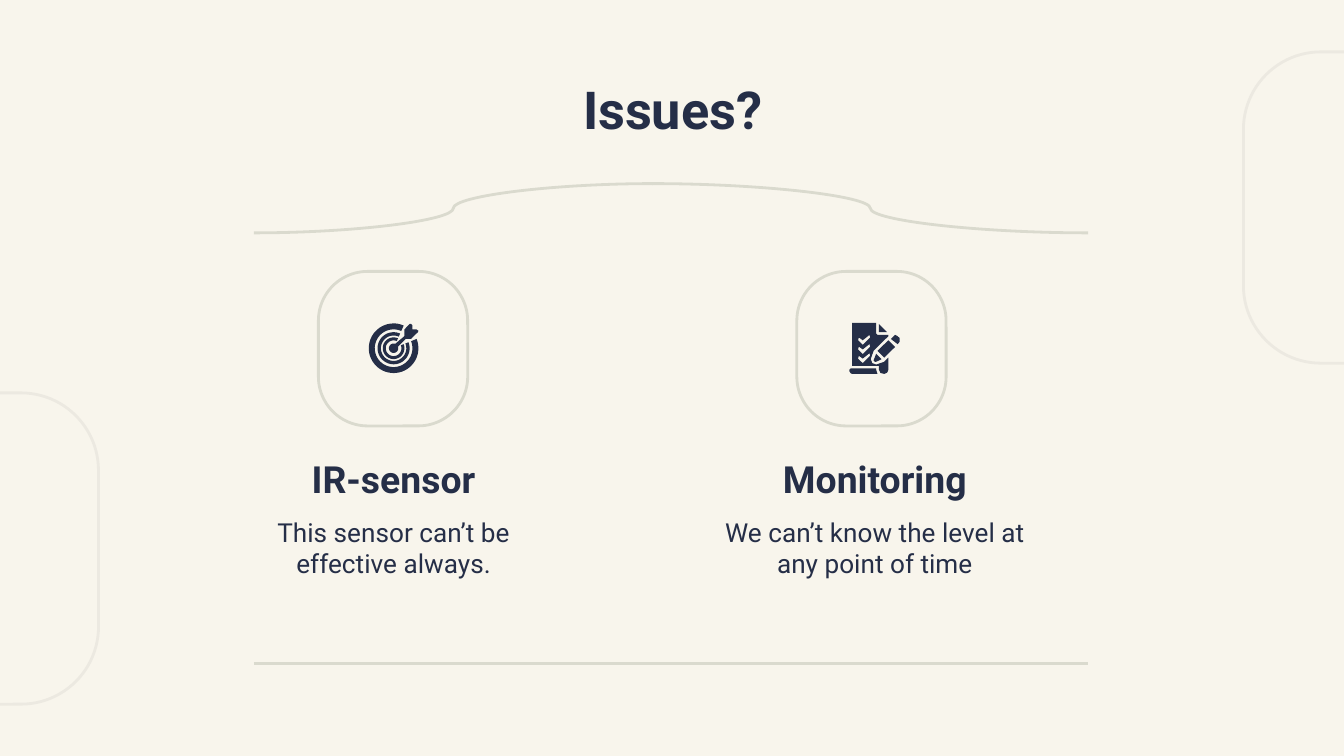
"""Build the "Issues?" slide with two illustrated columns."""
from math import cos, radians, sin

from lxml import etree
from pptx import Presentation
from pptx.dml.color import RGBColor
from pptx.enum import shapes, text
from pptx.oxml import ns
from pptx.util import Pt

INK, RULE, PALE, PAPER = "252E47", "DADACE", "ECE9E1", "F8F5EC"
FONT = "Roboto"
ICON_MIDDLE = 186.6


def arc(radius, start, end, steps=48):
    """Return points on an arc about the origin, angles counted anticlockwise."""
    angles = [radians(start + (end - start) * i / steps) for i in range(steps + 1)]
    return [(radius * cos(a), -radius * sin(a)) for a in angles]


def ring(outer, inner):
    """Return the outline of a ring that is open at the upper right."""
    return arc(outer, 66, 382) + arc(inner, 382, 66)


DART = [
    (2.2, -0.7), (6.5, -5), (9.4, -5), (10.1, -5.8), (13, -8.6), (13.3, -9.4),
    (12.2, -10.1), (10.1, -10.1), (10.1, -12.2), (9.4, -13), (8.6, -13),
    (5.8, -10.1), (5.8, -6.5), (0.7, -2.2),
] + arc(2.5, 74, 376)
TARGET = [ring(13.3, 10.1), ring(8.6, 6.8), ring(5.8, 4.2), DART]

SHEET = [
    (-12.2, -13.7), (-12.2, 9.4), (2.2, 9.4), (2.2, 11.6), (3, 13.2), (5, 13.7),
    (6.6, 13), (7.2, 11.6), (7.2, 5), (5, 7.2), (0.7, 8.7), (-1.4, 7.9),
    (-2.2, 5.8), (-0.7, 1.4), (7.2, -6.5), (7.2, -7.2), (1.4, -7.2),
    (0.7, -7.9), (0.7, -13.7),
]
TICK = [(-2.9, -7.2), (-2.5, -5.8), (-6.5, -1.8), (-9, -4.3), (-8.6, -5.8), (-6.5, -4.3)]
TICKS = [[(x, y + 4.9 * row) for x, y in TICK] for row in range(3)]
ERASER = [(8.6, -5), (10.1, -6.5), (10.8, -7.2), (12.2, -6.5), (13.3, -5.4),
          (13.3, -3.6), (12.2, -2.2)]
PENCIL = [(7.2, -4.3), (1.4, 1.4), (5, 5), (10.8, -0.7)]
TIP = [(0.7, 2.9), (-0.7, 6.5), (0, 7.2), (0.7, 7.2), (3.6, 5.8)]
FOLD = [(2.2, -13), (2.2, -8.6), (6.5, -8.6)]
FOOT = [(-13, 10.8), (-13.7, 11.5), (-13.7, 12.2), (-13, 13.3), (-12.2, 13.7),
        (1.4, 13.7), (0.7, 11.5), (0.7, 10.8)]
CHECKLIST = [SHEET, *TICKS, ERASER, PENCIL, TIP, FOLD, FOOT]

COLUMNS = [
    (210.9, 210.6, "IR-sensor", "This sensor can’t be effective always.", TARGET),
    (468.7, 466.9, "Monitoring", "We can’t know the level at any point of time", CHECKLIST),
]
SIDE_FRAMES = [(-81.2, 210.5), (666.1, 27.8)]
CONNECTORS = [
    (shapes.MSO_CONNECTOR.STRAIGHT, 136, 355.5, 583, 355.5),
    (shapes.MSO_CONNECTOR.CURVE, 136, 124.8, 349.7, 98.4),
    (shapes.MSO_CONNECTOR.CURVE, 583, 124.8, 349.5, 98.4),
]


def color(value):
    """Turn a hex string into a colour."""
    return RGBColor.from_string(value)


def add_frame(slide, left, top, width, height, rounding, line):
    """Add an unfilled rounded rectangle."""
    shape = slide.shapes.add_shape(
        shapes.MSO_SHAPE.ROUNDED_RECTANGLE, Pt(left), Pt(top), Pt(width), Pt(height))
    shape.adjustments[0] = rounding
    shape.shadow.inherit = False
    shape.fill.background()
    shape.line.color.rgb = color(line)
    shape.line.width = Pt(1.5)


def add_text(slide, center, top, width, height, words, size, bold=False):
    """Add a centred text box."""
    box = slide.shapes.add_textbox(Pt(center - width / 2), Pt(top), Pt(width), Pt(height))
    frame = box.text_frame
    frame.word_wrap = True
    frame.vertical_anchor = text.MSO_ANCHOR.MIDDLE
    frame.margin_left = frame.margin_right = Pt(7.2)
    frame.margin_top = frame.margin_bottom = Pt(7.2)
    frame.text = words
    paragraph = frame.paragraphs[0]
    paragraph.alignment = text.PP_ALIGN.CENTER
    font = paragraph.runs[0].font
    font.name, font.size, font.bold = FONT, Pt(size), bold
    font.color.rgb = color(INK)


def add_icon(slide, center, middle, outlines):
    """Add one filled freeform made of several closed outlines."""
    placed = [[(Pt(center + x), Pt(middle + y)) for x, y in outline] for outline in outlines]
    builder = slide.shapes.build_freeform(*placed[0][0])
    for number, outline in enumerate(placed):
        if number:
            builder.move_to(*outline[0])
        builder.add_line_segments(outline[1:], close=True)
    shape = builder.convert_to_shape()
    shape.shadow.inherit = False
    shape.fill.solid()
    shape.fill.fore_color.rgb = color(INK)
    shape.line.fill.background()


def add_connector(slide, kind, *ends):
    """Add a rule or curve without a shadow."""
    connector = slide.shapes.add_connector(kind, *map(Pt, ends))
    connector.line.color.rgb = color(RULE)
    connector.line.width = Pt(1.5)
    etree.SubElement(connector._element.spPr, ns.qn("a:effectLst"))


def main():
    """Assemble and save the slide."""
    presentation = Presentation()
    presentation.slide_width, presentation.slide_height = Pt(720), Pt(405)
    slide = presentation.slides.add_slide(presentation.slide_layouts[6])
    slide.background.fill.solid()
    slide.background.fill.fore_color.rgb = color(PAPER)

    for left, top in SIDE_FRAMES:
        add_frame(slide, left, top, 134, 166.8, 0.31, PALE)
    add_text(slide, 360.4, 35.3, 607, 45.4, "Issues?", 28, bold=True)
    for center, card_center, heading, body, icon in COLUMNS:
        add_frame(slide, card_center - 40, 145.4, 80, 82.8, 0.33, RULE)
        add_text(slide, center, 242.6, 164, 28, heading, 20, bold=True)
        add_text(slide, center, 274.3, 183, 38.2, body, 14)
        add_icon(slide, center, ICON_MIDDLE, icon)
    for connector in CONNECTORS:
        add_connector(slide, *connector)

    presentation.save("out.pptx")


if __name__ == "__main__":
    main()
